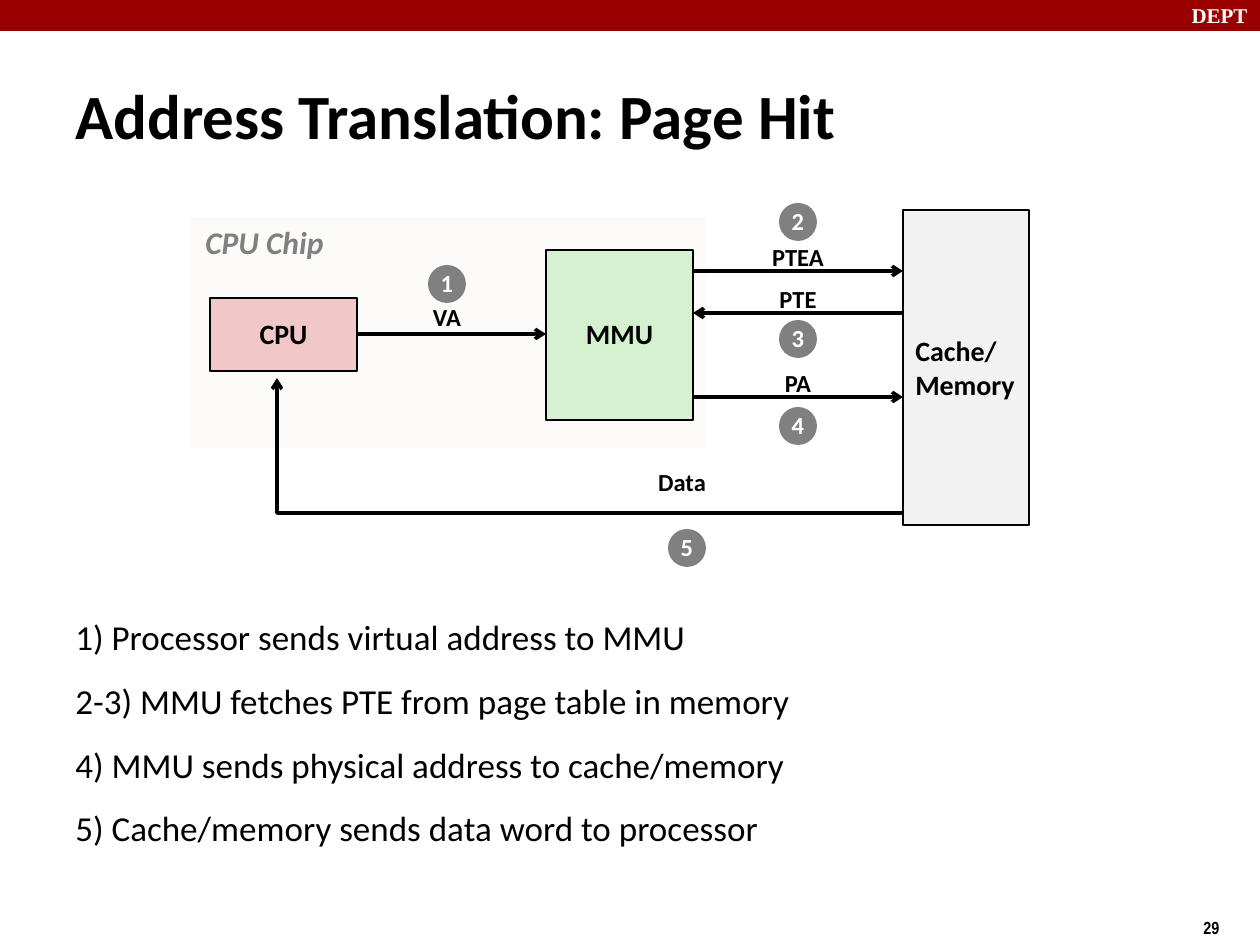
from lxml import etree
from pptx import Presentation
from pptx.dml.color import RGBColor
from pptx.enum.shapes import MSO_CONNECTOR, MSO_SHAPE
from pptx.enum.text import MSO_ANCHOR, PP_ALIGN
from pptx.oxml.ns import qn
from pptx.util import Emu, Inches, Pt

RECT, OVAL = MSO_SHAPE.RECTANGLE, MSO_SHAPE.OVAL
STRAIGHT, ELBOW = MSO_CONNECTOR.STRAIGHT, MSO_CONNECTOR.ELBOW
LEFT, CENTER, RIGHT = PP_ALIGN.LEFT, PP_ALIGN.CENTER, PP_ALIGN.RIGHT
TOP, MIDDLE = MSO_ANCHOR.TOP, MSO_ANCHOR.MIDDLE

BLACK, WHITE, GRAY = "000000", "FFFFFF", "808080"
BADGE = 38
LABEL_W, LABEL_H = 80, 42

STEPS = [
    "1) Processor sends virtual address to MMU",
    "2-3) MMU fetches PTE from page table in memory",
    "4) MMU sends physical address to cache/memory",
    "5) Cache/memory sends data word to processor",
]
ARROWS = [  # x1, x2, y
    (358, 546, 334),
    (693, 903, 271),
    (903, 693, 313),
    (693, 903, 397),
]
LABELS = [  # text, centre x, centre y
    ("VA", 447, 318),
    ("PTEA", 798, 258),
    ("PTE", 798, 300),
    ("PA", 798, 384),
    ("Data", 682, 483),
]
BADGES = [(447, 284), (798, 222), (798, 339), (798, 426), (687, 548)]


def px(n):
    return Emu(round(n * 914400 / 126))


def rgb(color):
    return RGBColor.from_string(color)


def write(shape, lines, size, color=BLACK, bold=True, italic=False,
          font="Calibri", align=LEFT, anchor=TOP, wrap=False):
    tf = shape.text_frame
    tf.word_wrap = wrap
    tf.vertical_anchor = anchor
    tf.text = "\n".join(lines)
    for p in tf.paragraphs:
        p.alignment = align
        if align == CENTER:
            p.line_spacing = 0.98
        p.font.size = Pt(size)
        p.font.name = font
        p.font.bold = bold
        p.font.italic = italic
        p.font.color.rgb = rgb(color)
    return tf


def add_text(s, x, y, w, h, lines, size, **style):
    return write(s.shapes.add_textbox(px(x), px(y), px(w), px(h)),
                 lines, size, **style)


def add_box(s, x, y, w, h, fill, line=None, kind=RECT):
    sp = s.shapes.add_shape(kind, px(x), px(y), px(w), px(h))
    sp.shadow.inherit = False
    sp.fill.solid()
    sp.fill.fore_color.rgb = rgb(fill)
    if line:
        sp.line.color.rgb = rgb(BLACK)
        sp.line.width = Pt(line)
    else:
        sp.line.fill.background()
    return sp


def add_arrow(s, x1, y1, x2, y2, kind=STRAIGHT):
    c = s.shapes.add_connector(kind, px(x1), px(y1), px(x2), px(y2))
    c.line.color.rgb = rgb(BLACK)
    c.line.width = Pt(2)
    sp_pr = c._element.spPr
    etree.SubElement(sp_pr.find(qn("a:ln")), qn("a:tailEnd"), type="arrow")
    etree.SubElement(sp_pr, qn("a:effectLst"))
    return c


def add_corner_arrow(s, left, top, right, bottom):
    """Arrow from bottom right, along the bottom, up to the top left."""
    c = add_arrow(s, left, top, right, bottom, ELBOW)
    sp_pr = c._element.spPr
    sp_pr.find(qn("a:prstGeom")).set("prst", "bentConnector2")
    sp_pr.find(qn("a:xfrm")).set("rot", "10800000")


def add_steps(s):
    tf = add_text(s, 63, 609, 935, 284, STEPS, 20, bold=False, wrap=True)
    for p in tf.paragraphs:
        p.space_before = Pt(12.5)
        pPr = p._p.get_or_add_pPr()
        pPr.set("marL", str(Inches(0.37)))
        pPr.set("indent", str(Inches(-0.37)))


def add_diagram(s):
    # Chip and units
    add_box(s, 190, 217, 517, 231, "FCFBF9")
    add_text(s, 193, 217, 144, 50, ["CPU Chip"], 18, color=GRAY, italic=True)
    cpu = add_box(s, 210, 298, 147, 73, "F1C7C7", 1)
    mmu = add_box(s, 546, 250, 147, 170, "D5F1CF", 1)
    memory = add_box(s, 903, 210, 126, 315, "F2F2F2", 1.5)
    write(cpu, ["CPU"], 16, align=CENTER, anchor=MIDDLE)
    write(mmu, ["MMU"], 16, align=CENTER, anchor=MIDDLE)
    write(memory, ["Cache/", "Memory"], 16, anchor=MIDDLE)

    # Transfers
    for x1, x2, y in ARROWS:
        add_arrow(s, x1, y, x2, y)
    add_corner_arrow(s, 277, 378, 903, 513)
    for text, cx, cy in LABELS:
        add_text(s, cx - LABEL_W / 2, cy - LABEL_H / 2, LABEL_W, LABEL_H,
                 [text], 14, align=CENTER, anchor=MIDDLE)

    # Step numbers
    for number, (cx, cy) in enumerate(BADGES, 1):
        badge = add_box(s, cx - BADGE / 2, cy - BADGE / 2, BADGE, BADGE,
                        GRAY, kind=OVAL)
        write(badge, [str(number)], 14, color=WHITE, align=CENTER,
              anchor=MIDDLE)


def main():
    prs = Presentation()
    prs.slide_width, prs.slide_height = px(1260), px(945)
    s = prs.slides.add_slide(prs.slide_layouts[6])

    # Header band and page number
    add_box(s, 0, 0, 1260, 31, "990000")
    add_text(s, 1150, -4, 110, 38, ["DEPT"], 12, color=WHITE,
             font="Times New Roman", align=RIGHT)
    add_text(s, 1191, 911, 42, 34, ["29"], 10, font="Arial Narrow")

    # Title, diagram and explanation
    add_text(s, 63, 60, 1197, 108, ["Address Translation: Page Hit"], 36,
             anchor=MIDDLE, wrap=True)
    add_diagram(s)
    add_steps(s)

    prs.save("out.pptx")


if __name__ == "__main__":
    main()
